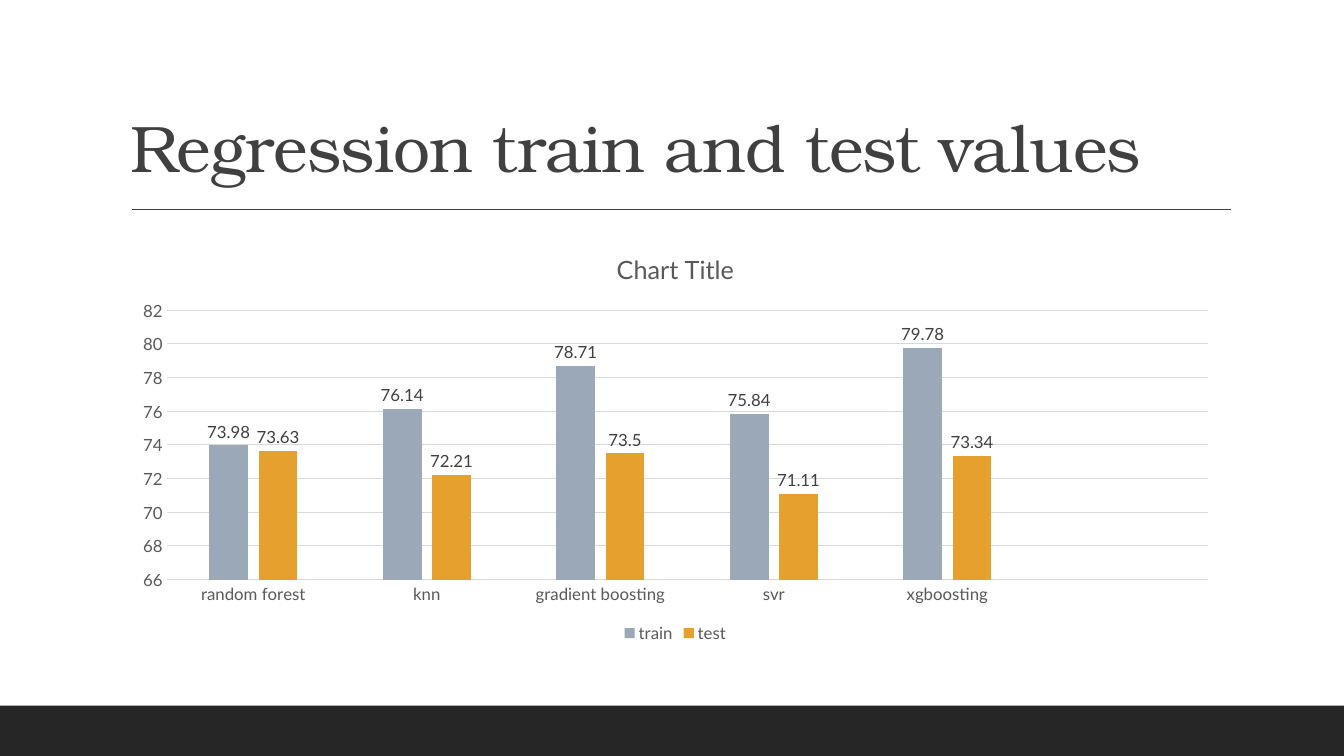
import pptx
import pptx.chart.data
import pptx.dml.color
import pptx.enum.chart
import pptx.enum.shapes
import pptx.enum.text
import pptx.oxml
import pptx.util

Pt = pptx.util.Pt
CHART = pptx.enum.chart

TITLE = "Regression train and test values"
CHART_TITLE = "Chart Title"
MODELS = ["random forest", "knn", "gradient boosting", "svr", "xgboosting", ""]
SCORES = {
    "train": [73.98, 76.14, 78.71, 75.84, 79.78, None],
    "test": [73.63, 72.21, 73.5, 71.11, 73.34, None],
}

THEME = {
    "heading_font": "TeX Gyre Bonum",
    "body_font": "Lato",
    "heading_size": 47,
    "chart_title_size": 18,
    "label_size": 12,
    "dark": "262626",
    "ink": "404040",
    "muted": "595959",
    "grid": "D9D9D9",
    "train": "9BA8B7",
    "test": "E6A02E",
}

PAGE_WIDTH, PAGE_HEIGHT = 960, 540
BAND_HEIGHT = 36
CONTENT_LEFT, CONTENT_WIDTH = 86.4, 792
TITLE_TOP, TITLE_HEIGHT = 22.3, 114.5
RULE_LEFT, RULE_RIGHT, RULE_TOP = 94.3, 879.1, 149.6
CHART_TOP, CHART_HEIGHT = 166.3, 295.9


def colour(name):
    return pptx.dml.color.RGBColor.from_string(THEME[name])


def apply(target, values):
    for name, value in values.items():
        setattr(target, name, value)


def style_font(font, family, size, ink):
    apply(font, {"name": THEME[family], "size": Pt(THEME[size]), "bold": False})
    font.color.rgb = colour(ink)


def style_line(line, ink, width):
    line.color.rgb = colour(ink)
    line.width = Pt(width)


def add_band(page):
    band = page.shapes.add_shape(
        pptx.enum.shapes.MSO_SHAPE.RECTANGLE,
        0, Pt(PAGE_HEIGHT - BAND_HEIGHT), Pt(PAGE_WIDTH), Pt(BAND_HEIGHT),
    )
    band.shadow.inherit = False
    band.fill.solid()
    band.fill.fore_color.rgb = colour("dark")
    band.line.fill.background()


def add_rule(page):
    rule = page.shapes.add_connector(
        pptx.enum.shapes.MSO_CONNECTOR.STRAIGHT,
        Pt(RULE_LEFT), Pt(RULE_TOP), Pt(RULE_RIGHT), Pt(RULE_TOP),
    )
    style_line(rule.line, "ink", 1)
    properties = rule._element.spPr
    properties.append(properties.makeelement(pptx.oxml.ns.qn("a:effectLst"), {}))


def add_title(page):
    box = page.shapes.add_textbox(
        Pt(CONTENT_LEFT), Pt(TITLE_TOP), Pt(CONTENT_WIDTH), Pt(TITLE_HEIGHT)
    )
    apply(box.text_frame, {
        "word_wrap": True,
        "vertical_anchor": pptx.enum.text.MSO_ANCHOR.BOTTOM,
    })
    para = box.text_frame.paragraphs[0]
    para.line_spacing = 0.9
    span = para.add_run()
    span.text = TITLE
    style_font(span.font, "heading_font", "heading_size", "ink")
    span._r.get_or_add_rPr().set("spc", "-50")


def add_scores(page):
    data = pptx.chart.data.CategoryChartData()
    data.categories = MODELS
    for name, values in SCORES.items():
        data.add_series(name, values)
    chart = page.shapes.add_chart(
        CHART.XL_CHART_TYPE.COLUMN_CLUSTERED,
        Pt(CONTENT_LEFT), Pt(CHART_TOP), Pt(CONTENT_WIDTH), Pt(CHART_HEIGHT), data,
    ).chart
    style_font(chart.font, "body_font", "label_size", "muted")

    chart.has_title = True
    span = chart.chart_title.text_frame.paragraphs[0].add_run()
    span.text = CHART_TITLE
    style_font(span.font, "body_font", "chart_title_size", "muted")
    chart.chart_title.include_in_layout = False

    chart.has_legend = True
    apply(chart.legend, {
        "position": CHART.XL_LEGEND_POSITION.BOTTOM,
        "include_in_layout": False,
    })
    style_font(chart.legend.font, "body_font", "label_size", "muted")

    for axis in (chart.category_axis, chart.value_axis):
        apply(axis, {
            "major_tick_mark": CHART.XL_TICK_MARK.NONE,
            "minor_tick_mark": CHART.XL_TICK_MARK.NONE,
        })
        style_font(axis.tick_labels.font, "body_font", "label_size", "muted")
    style_line(chart.category_axis.format.line, "grid", 0.75)
    apply(chart.value_axis, {
        "minimum_scale": 66, "maximum_scale": 82, "major_unit": 2,
        "has_major_gridlines": True,
    })
    chart.value_axis.format.line.fill.background()
    style_line(chart.value_axis.major_gridlines.format.line, "grid", 0.75)

    plot = chart.plots[0]
    apply(plot, {"gap_width": 219, "overlap": -27, "vary_by_categories": False})
    for series in plot.series:
        series.format.fill.solid()
        series.format.fill.fore_color.rgb = colour(series.name)
        series.invert_if_negative = False
        apply(series.data_labels, {
            "show_value": True,
            "position": CHART.XL_LABEL_POSITION.OUTSIDE_END,
        })
        style_font(series.data_labels.font, "body_font", "label_size", "ink")


def main():
    deck = pptx.Presentation()
    apply(deck, {"slide_width": Pt(PAGE_WIDTH), "slide_height": Pt(PAGE_HEIGHT)})
    page = deck.slides.add_slide(deck.slide_layouts[6])
    for add_part in (add_band, add_rule, add_title, add_scores):
        add_part(page)
    deck.save("out.pptx")


if __name__ == "__main__":
    main()
